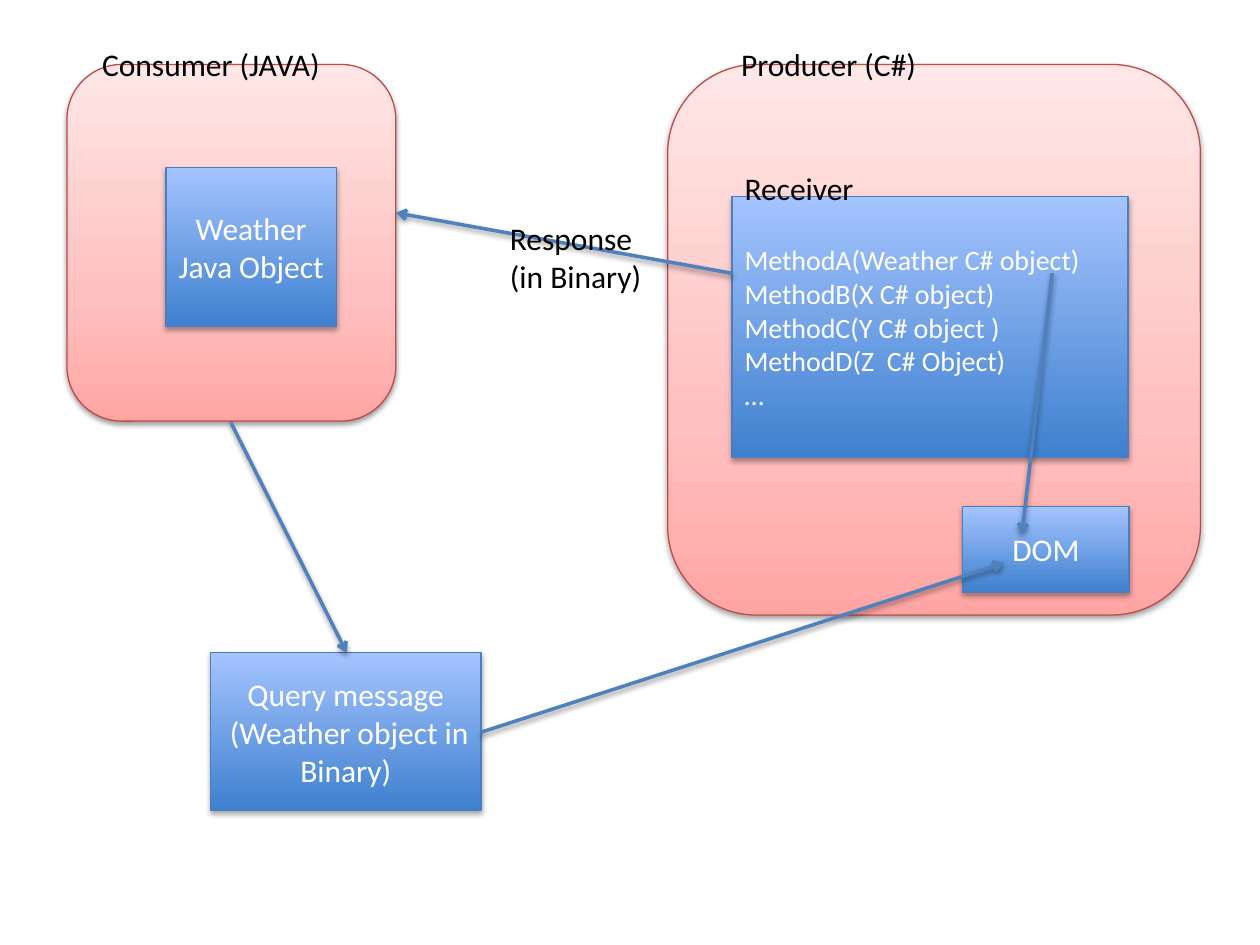
from lxml import etree
from pptx import Presentation
from pptx.dml.color import RGBColor
from pptx.enum.shapes import MSO_CONNECTOR, MSO_SHAPE
from pptx.enum.text import MSO_ANCHOR, PP_ALIGN
from pptx.oxml import parse_xml
from pptx.oxml.ns import nsdecls, qn
from pptx.util import Cm, Pt

RECT, ROUND = MSO_SHAPE.RECTANGLE, MSO_SHAPE.ROUNDED_RECTANGLE
LEFT, CENTER = PP_ALIGN.LEFT, PP_ALIGN.CENTER
COLORS = {"white": "FFFFFF", "black": "000000", "arrow": "4F81BD",
          "red line": "BF4C48", "blue line": "4B7EBC"}
# Gradient stops run from the bottom edge to the top edge
GRADIENTS = {"red": [(0, "FFA6A5"), (35, "FFC0BF"), (100, "FFE7E7")],
             "blue": [(0, "3F80CE"), (100, "A4C4FF")]}
SHADOWS = {"red": (38, 20000), "blue": (35, 23000), "arrow": (38, 20000)}


def write(s, text, size=18, color="black", align=LEFT, anchor=MSO_ANCHOR.TOP, wrap=True):
    """Fill a shape with one paragraph per line of text."""
    tf = s.text_frame
    tf.word_wrap = wrap
    tf.vertical_anchor = anchor
    for i, line in enumerate(text.split("\n")):
        p = tf.paragraphs[0] if i == 0 else tf.add_paragraph()
        p.alignment = align
        r = p.add_run()
        r.text = line
        r.font.name, r.font.size = "Calibri", Pt(size)
        r.font.color.rgb = RGBColor.from_string(COLORS[color])


def add_shadow(s, kind):
    """Give a shape or connector a soft shadow below it."""
    alpha, dist = SHADOWS[kind]
    s._element.spPr.append(parse_xml(
        f'<a:effectLst {nsdecls("a")}><a:outerShdw blurRad="40000" dist="{dist}" '
        f'dir="5400000" rotWithShape="0"><a:srgbClr val="000000">'
        f'<a:alpha val="{alpha * 1000}"/></a:srgbClr></a:outerShdw></a:effectLst>'))


prs = Presentation()
prs.slide_width, prs.slide_height = Cm(25.4), Cm(19.05)
shapes = prs.slides.add_slide(prs.slide_layouts[6]).shapes

methods = ("MethodA(Weather C# object)\nMethodB(X C# object)\n"
           "MethodC(Y C# object )\nMethodD(Z  C# Object)\n…")
boxes = [
    (ROUND, "red", (1.35, 1.3, 6.63, 7.19), "", 18, CENTER),
    (RECT, "blue", (3.35, 3.38, 3.43, 3.2), "Weather Java Object", 18, CENTER),
    (ROUND, "red", (13.46, 1.3, 10.74, 11.1), "", 18, CENTER),
    (RECT, "blue", (14.76, 3.96, 7.98, 5.26), methods, 16, LEFT),
    (RECT, "blue", (4.24, 13.16, 5.46, 3.18),
     "Query message\n (Weather object in Binary)", 18, CENTER),
    (RECT, "blue", (19.41, 10.21, 3.35, 1.73), "DOM", 18, CENTER),
]
for preset, kind, place, text, size, align in boxes:
    s = shapes.add_shape(preset, *map(Cm, place))
    s.fill.gradient()
    s.fill.gradient_angle = 90
    stops = s._element.spPr.find(qn("a:gradFill")).find(qn("a:gsLst"))
    for old in list(stops):
        stops.remove(old)
    for position, color in GRADIENTS[kind]:
        gs = etree.SubElement(stops, qn("a:gs"), pos=str(position * 1000))
        etree.SubElement(gs, qn("a:srgbClr"), val=color)
    s.line.color.rgb = RGBColor.from_string(COLORS[f"{kind} line"])
    s.line.width = Pt(0.75)
    add_shadow(s, kind)
    if text:
        write(s, text, size=size, color="white", align=align, anchor=MSO_ANCHOR.MIDDLE)

arrows = [
    (9.7, 14.76, 20.24, 11.35),   # query message to DOM
    (21.21, 5.51, 20.6, 10.77),   # method A to DOM
    (4.65, 8.51, 6.99, 13.16),    # consumer to query message
    (14.76, 5.51, 7.98, 4.29),    # receiver to consumer
]
for ends in arrows:
    s = shapes.add_connector(MSO_CONNECTOR.STRAIGHT, *map(Cm, ends))
    s.line.color.rgb = RGBColor.from_string(COLORS["arrow"])
    s.line.width = Pt(2)
    etree.SubElement(s.line._get_or_add_ln(), qn("a:tailEnd"), type="arrow")
    add_shadow(s, "arrow")

labels = [
    ("Consumer (JAVA)", (0.71, 0.79, 7.09, 1.02), CENTER, True),
    ("Producer (C#)", (13.16, 0.79, 7.09, 1.02), CENTER, True),
    ("Receiver", (14.76, 3.28, 3.2, 1.02), LEFT, True),
    ("Response\n(in Binary)", (10.03, 4.29, 3.18, 1.8), LEFT, False),
]
for text, place, align, wrap in labels:
    write(shapes.add_textbox(*map(Cm, place)), text, align=align, wrap=wrap)

prs.save("out.pptx")
